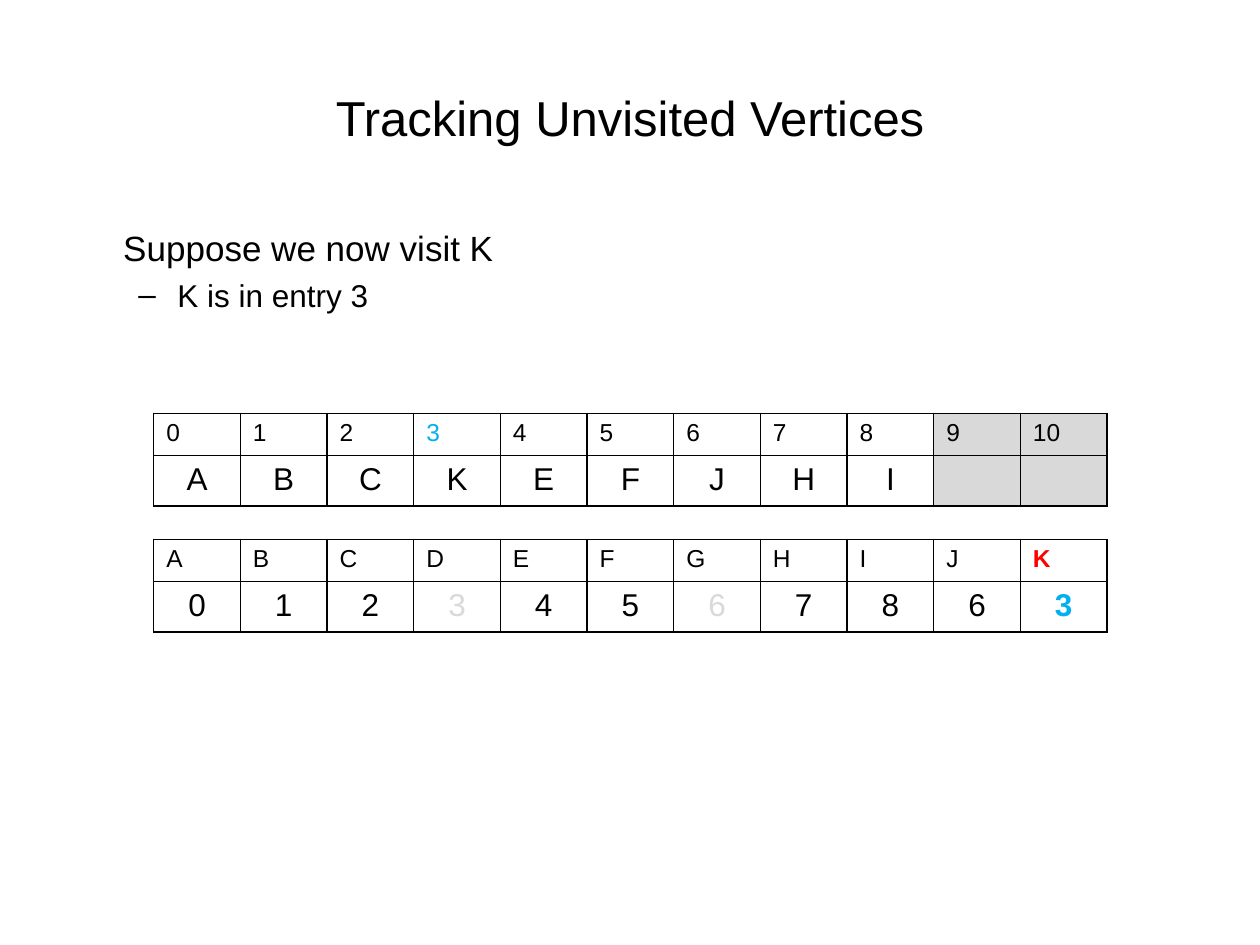
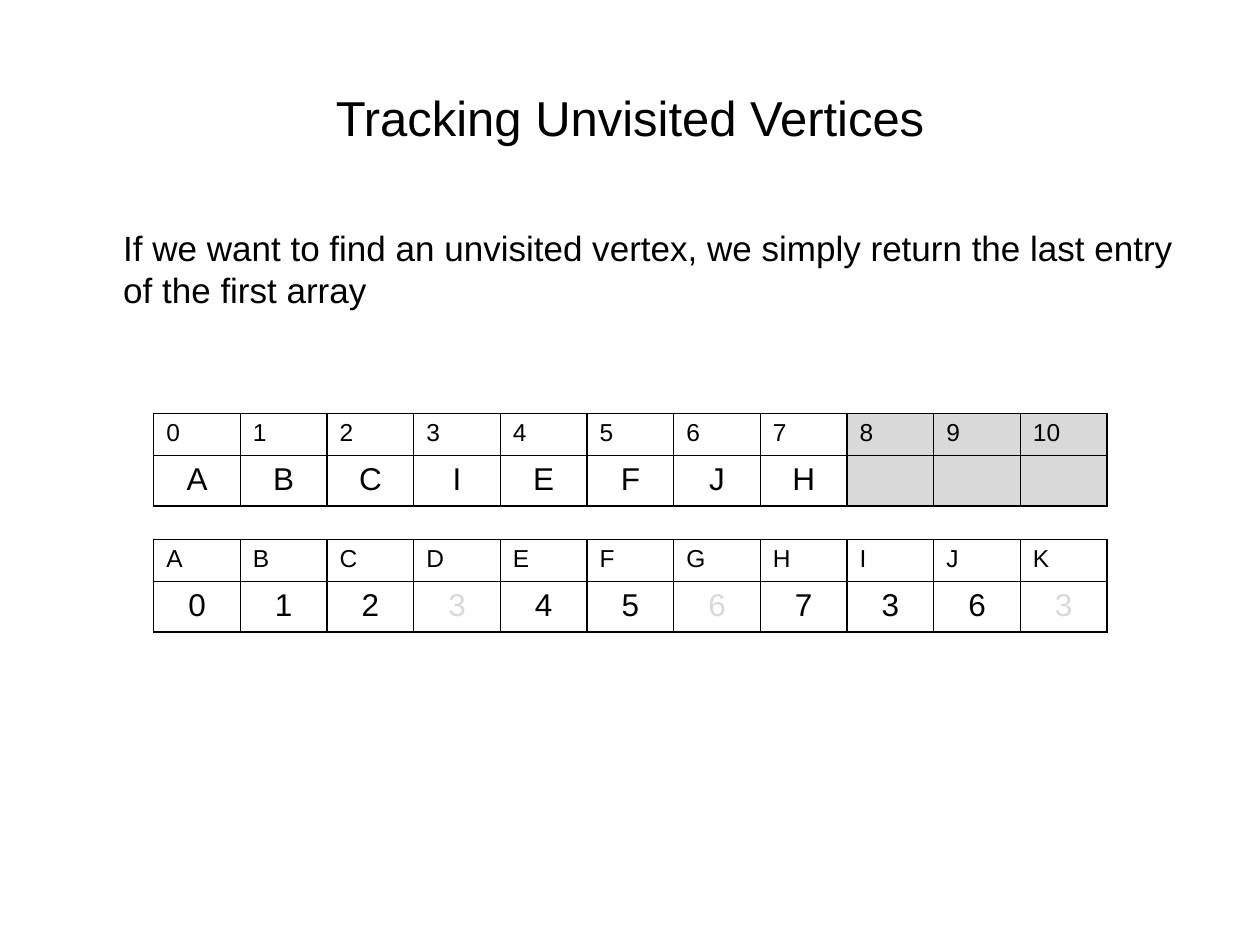
from dataclasses import dataclass

from lxml.etree import SubElement
from pptx import Presentation
from pptx.dml.color import RGBColor
from pptx.enum.text import MSO_ANCHOR, PP_ALIGN
from pptx.oxml.ns import qn
from pptx.slide import Slide
from pptx.table import _Cell
from pptx.text.text import TextFrame, _Paragraph
from pptx.util import Inches, Pt

FONT = "Arial"
BLACK, GREY, RED, BLUE = "000000", "D9D9D9", "FF0000", "00B0F0"
TITLE = "Tracking Unvisited Vertices"
VERTICES = "ABCDEFGHIJK"
TABLE_LEFT, TABLE_WIDTH = Inches(1.22), Inches(7.57)
UNVISITED_TOP, LOCATION_TOP = Inches(3.28), Inches(4.28)
ROW_HEIGHTS = (Inches(0.33), Inches(0.4))


@dataclass(frozen=True)
class Entry:
    text: str
    color: str = BLACK
    bold: bool = False
    shaded: bool = False


@dataclass(frozen=True)
class Step:
    """One state of the two arrays; `unvisited` and `locations` hold one character per entry."""
    lead: str
    unvisited: str
    locations: str
    detail: str = ""
    visiting: str = ""


STEPS = (
    Step("Suppose we now visit K", "ABCKEFJHI", "01234567863",
         detail="K is in entry 3", visiting="K"),
    Step("If we want to find an unvisited vertex, we simply return the last entry of the first array",
         "ABCIEFJH", "01234567363"),
)


def rgb(color: str) -> RGBColor:
    return RGBColor.from_string(color)


def write(paragraph: _Paragraph, text: str, size: float,
          color: str = BLACK, bold: bool = False) -> None:
    run = paragraph.add_run()
    run.text = text
    formats = {"name": FONT, "size": Pt(size), "bold": bold}
    for attribute, value in formats.items():
        setattr(run.font, attribute, value)
    run.font.color.rgb = rgb(color)


def add_text_frame(slide: Slide, top: float, height: float) -> TextFrame:
    frame = slide.shapes.add_textbox(Inches(0.5), Inches(top), Inches(9), Inches(height)).text_frame
    frame.word_wrap = True
    return frame


def indent(paragraph: _Paragraph, margin: float, hanging: float = 0, bullet: str = "") -> None:
    properties = paragraph._p.get_or_add_pPr()
    properties.set("marL", str(Inches(margin)))
    properties.set("indent", str(-Inches(hanging)))
    if bullet:
        SubElement(properties, qn("a:buFont"), typeface=FONT)
        SubElement(properties, qn("a:buChar"), char=bullet)


def add_title(slide: Slide) -> None:
    frame = add_text_frame(slide, 0.3, 1.25)
    frame.vertical_anchor = MSO_ANCHOR.MIDDLE
    frame.paragraphs[0].alignment = PP_ALIGN.CENTER
    write(frame.paragraphs[0], TITLE, 28)


def add_body(slide: Slide, step: Step) -> None:
    frame = add_text_frame(slide, 1.75, 4.95)
    lead = frame.paragraphs[0]
    lead.space_before = Pt(4)
    indent(lead, 0.38)
    write(lead, step.lead, 20)
    if step.detail:
        detail = frame.add_paragraph()
        detail.space_before = Pt(4)
        indent(detail, 0.81, 0.31, "–")
        write(detail, step.detail, 18)


def add_borders(cell: _Cell) -> None:
    properties = cell._tc.get_or_add_tcPr()
    for side in ("lnL", "lnR", "lnT", "lnB"):
        line = SubElement(properties, qn(f"a:{side}"), w=str(Pt(1)))
        SubElement(SubElement(line, qn("a:solidFill")), qn("a:srgbClr"), val=BLACK)


def fill_cell(cell: _Cell, entry: Entry, size: float, alignment: PP_ALIGN) -> None:
    add_borders(cell)
    if entry.shaded:
        cell.fill.solid()
        cell.fill.fore_color.rgb = rgb(GREY)
    else:
        cell.fill.background()
    if entry.text:
        paragraph = cell.text_frame.paragraphs[0]
        paragraph.alignment = alignment
        write(paragraph, entry.text, size, entry.color, entry.bold)


def add_array(slide: Slide, top: int, indices: list[Entry], values: list[Entry]) -> None:
    table = slide.shapes.add_table(2, len(VERTICES), TABLE_LEFT, top,
                                   TABLE_WIDTH, sum(ROW_HEIGHTS)).table
    table.first_row = table.horz_banding = False
    styles = ((14, PP_ALIGN.LEFT), (18, PP_ALIGN.CENTER))
    for row, height, entries, style in zip(table.rows, ROW_HEIGHTS, (indices, values), styles):
        row.height = height
        for cell, entry in zip(row.cells, entries):
            fill_cell(cell, entry, *style)


def add_unvisited_array(slide: Slide, step: Step) -> None:
    """Entries past the end of the unvisited list are shaded."""
    indices, values = [], []
    for index, vertex in enumerate(step.unvisited.ljust(len(VERTICES))):
        shaded = index >= len(step.unvisited)
        color = BLUE if vertex == step.visiting else BLACK
        indices.append(Entry(str(index), color, shaded=shaded))
        values.append(Entry(vertex.strip(), shaded=shaded))
    add_array(slide, UNVISITED_TOP, indices, values)


def add_location_array(slide: Slide, step: Step) -> None:
    """Locations of vertices already visited are greyed out."""
    indices, values = [], []
    for vertex, location in zip(VERTICES, step.locations):
        visiting = vertex == step.visiting
        current = BLACK if vertex in step.unvisited else GREY
        indices.append(Entry(vertex, RED if visiting else BLACK, visiting))
        values.append(Entry(location, BLUE if visiting else current, visiting))
    add_array(slide, LOCATION_TOP, indices, values)


def main() -> None:
    presentation = Presentation()
    presentation.slide_width, presentation.slide_height = Inches(10), Inches(7.5)
    for step in STEPS:
        slide = presentation.slides.add_slide(presentation.slide_layouts[6])
        add_title(slide)
        add_body(slide, step)
        add_unvisited_array(slide, step)
        add_location_array(slide, step)
    presentation.save("out.pptx")


if __name__ == "__main__":
    main()
